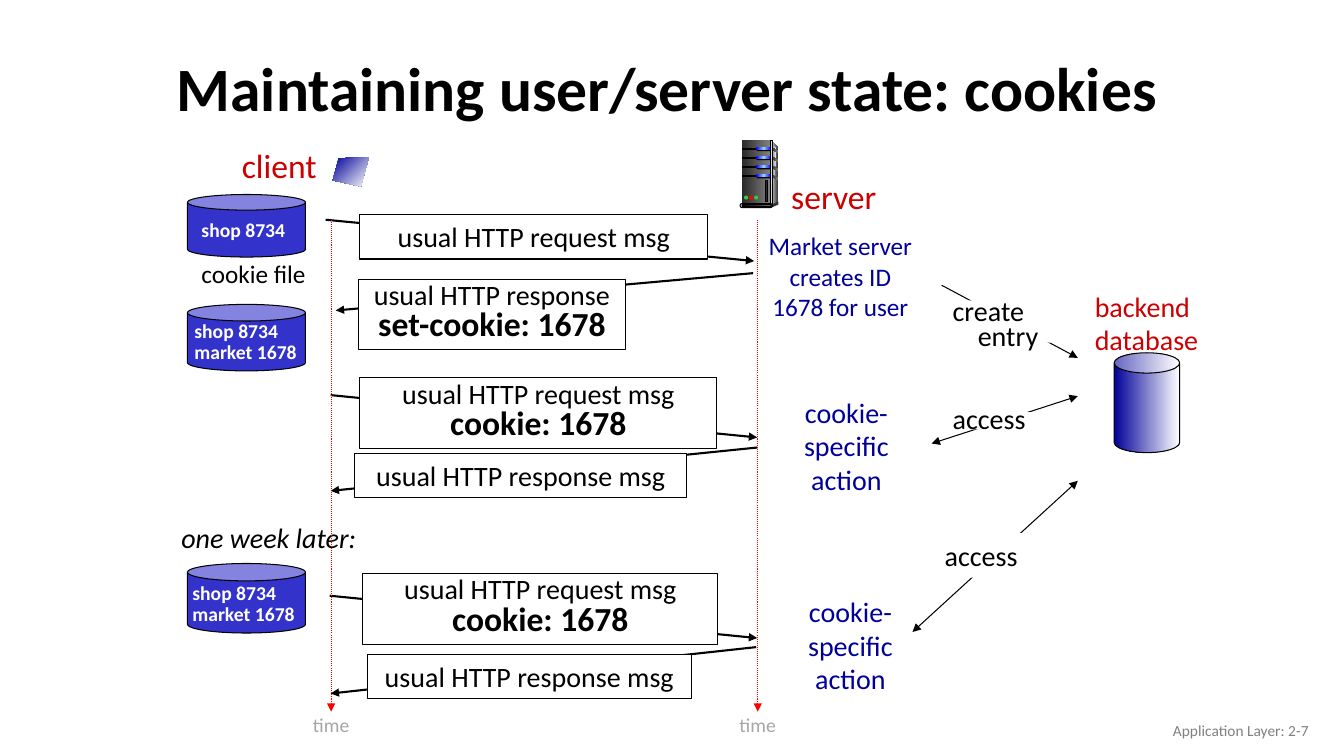
from copy import deepcopy

from lxml import etree
from pptx import Presentation
from pptx.dml.color import RGBColor
from pptx.enum.dml import MSO_LINE
from pptx.enum.shapes import MSO_CONNECTOR, MSO_SHAPE
from pptx.enum.text import MSO_ANCHOR, MSO_AUTO_SIZE, PP_ALIGN
from pptx.oxml.ns import qn
from pptx.util import Inches, Pt

LEFT, CENTER, RIGHT = PP_ALIGN.LEFT, PP_ALIGN.CENTER, PP_ALIGN.RIGHT
TOP, MIDDLE = MSO_ANCHOR.TOP, MSO_ANCHOR.MIDDLE
RECT, ROUND, OVAL, CAN = MSO_SHAPE.RECTANGLE, MSO_SHAPE.ROUNDED_RECTANGLE, MSO_SHAPE.OVAL, MSO_SHAPE.CAN
FONT = "Calibri"
COLORS = {
    "black": "000000", "white": "FFFFFF", "red": "CC0000", "navy": "000099", "jar": "3333CC",
    "footer": "808080", "time": "A6A6A6", "axis": "FF0000", "coal": "292929", "dark": "333333",
    "gray": "808080", "silver": "DDDDDD", "pale": "F8F8F8", "blue": "0000FF", "sky": "99CCFF",
    "green": "33CC33",
}


def color(name):
    """Return the named colour."""
    return RGBColor.from_string(COLORS[name])


def write(frame, lines, size, ink, align=LEFT, spacing=1.0, bold=False, italic=False, anchor=TOP):
    """Write lines, each a string or a (string, size, bold) tuple."""
    frame.auto_size = MSO_AUTO_SIZE.NONE
    frame.word_wrap = align != CENTER
    frame.vertical_anchor = anchor
    for index, line in enumerate(lines):
        text, points, strong = line if isinstance(line, tuple) else (line, size, bold)
        paragraph = frame.paragraphs[0] if index == 0 else frame.add_paragraph()
        paragraph.alignment = align
        paragraph.line_spacing = spacing
        run = paragraph.add_run()
        run.text = text
        run.font.name, run.font.size = FONT, Pt(points)
        run.font.bold, run.font.italic = strong, italic
        run.font.color.rgb = color(ink)


def add_text(slide, box, lines, size, ink, **style):
    """Add a text box and return its frame."""
    frame = slide.shapes.add_textbox(*map(Inches, box)).text_frame
    write(frame, lines, size, ink, **style)
    return frame


def paint(shape, fill, outline=False, angle=0):
    """Fill with one colour or a gradient of several, with an optional black outline."""
    shape.shadow.inherit = False
    if isinstance(fill, str):
        shape.fill.solid()
        shape.fill.fore_color.rgb = color(fill)
    else:
        shape.fill.gradient()
        shape.fill.gradient_angle = -angle % 360
        stop_list = shape._element.spPr.find(qn("a:gradFill")).find(qn("a:gsLst"))
        for _ in fill[2:]:
            stop_list.append(deepcopy(stop_list[0]))
        for index, (stop, name) in enumerate(zip(shape.fill.gradient_stops, fill)):
            stop.color.rgb = color(name)
            stop.position = index / (len(fill) - 1)
    if outline:
        shape.line.color.rgb = color("black")
        shape.line.width = Pt(0.75)
    else:
        shape.line.fill.background()


def add_block(slide, kind, box, fill, outline=False, adjust=None):
    """Add a painted preset shape."""
    shape = slide.shapes.add_shape(kind, *map(Inches, box))
    if adjust is not None:
        shape.adjustments[0] = adjust
    paint(shape, fill, outline)
    return shape


def add_outline(slide, points, fill, angle=0):
    """Add a painted polygon."""
    corners = [(Inches(x), Inches(y)) for x, y in points]
    builder = slide.shapes.build_freeform(*corners[0], scale=1.0)
    builder.add_line_segments(corners[1:], close=True)
    paint(builder.convert_to_shape(), fill, angle=angle)


def add_arrow(slide, start, end, width=0.75, ink="black", both=False, dash=None):
    """Add an arrow with a head at its end, or at both ends."""
    arrow = slide.shapes.add_connector(MSO_CONNECTOR.STRAIGHT, *map(Inches, (*start, *end)))
    arrow.line.color.rgb = color(ink)
    arrow.line.width = Pt(width)
    if dash:
        arrow.line.dash_style = dash
    line = arrow.line._get_or_add_ln()
    for tag in ("a:headEnd", "a:tailEnd") if both else ("a:tailEnd",):
        etree.SubElement(line, qn(tag)).set("type", "triangle")
    etree.SubElement(arrow._element.spPr, qn("a:effectLst"))


def add_message(slide, box, start, end, lines):
    """Add a message arrow with its boxed label."""
    add_arrow(slide, start, end, 1.5)
    label = add_block(slide, RECT, box, "white", True)
    write(label.text_frame, lines, 20, "black", align=CENTER, spacing=0.8 if len(lines) > 1 else 1.0)


def add_link(slide, box, start, end, mask, lines, both=True):
    """Add a database arrow with a label over a blank patch."""
    add_arrow(slide, start, end, both=both)
    add_block(slide, RECT, mask, "white")
    frame = add_text(slide, box, lines, 20, "black", spacing=0.75 if len(lines) > 1 else 1.0)
    for paragraph in frame.paragraphs[1:]:
        paragraph._p.get_or_add_pPr().set("marL", str(Inches(0.25)))


def add_cookie_jar(slide, box, lines, label_left, label_drop):
    """Add a cookie file drum with its entries."""
    left, top, width, height = box
    add_block(slide, CAN, box, "jar", True, 0.25)
    label = (left + label_left, top + label_drop, width + 0.4, 0.53)
    add_text(slide, label, lines, 14, "white", bold=True, spacing=0.9 if len(lines) > 1 else 1.0)


def add_timeline(slide, box):
    """Add a dotted time axis with its caption."""
    left, top, width, height = box
    middle = left + width / 2
    add_arrow(slide, (middle, top), (middle, top + height), ink="axis", dash=MSO_LINE.ROUND_DOT)
    add_text(slide, (left, top + height, width, 0.3), ["time"], 14, "time", align=CENTER, spacing=0.85)


def add_server_tower(slide, box):
    """Add the server tower."""
    left, top, width, height = box
    right, seam, floor = left + width, left + 0.31, top + 0.64

    def part(kind, x, y, w, h, fill, outline=False):
        """Add a part at an offset in the tower."""
        add_block(slide, kind, (left + x, top + y, w, h), fill, outline, 0.5 if kind == ROUND else None)

    add_outline(slide, [(seam, top), (right, top + 0.08), (right, floor - 0.03), (seam - 0.01, floor)],
                ("silver", "dark"))
    part(RECT, 0.02, 0, 0.28, 0.64, ("coal", "gray"))
    add_outline(slide, [(seam + 0.01, top + 0.04), (right - 0.02, top + 0.09),
                        (seam + 0.03, top + 0.35), (seam + 0.01, floor - 0.02)], ("gray", "pale"))
    for bay in range(4):
        drop = 0.07 + 0.09 * bay
        vent = top + drop
        part(RECT, 0.02, drop + 0.01, 0.16, 0.01, "black", True)
        part(ROUND, 0.16, drop, 0.16, 0.04, "black")
        part(ROUND, 0.16, drop, 0.15, 0.03, ("blue", "sky", "blue"))
        add_outline(slide, [(seam, vent), (right, vent + 0.04), (right, vent + 0.06), (seam, vent + 0.02)],
                    ("coal", "gray"))
    part(RECT, 0.3, 0, 0.02, 0.64, ("dark", "silver", "dark"), True)
    add_outline(slide, [(seam, floor), (seam, floor + 0.03), (right, floor), (right, floor - 0.03)], "dark")
    part(ROUND, 0, 0.63, 0.32, 0.04, "silver", True)
    part(ROUND, 0.02, 0.64, 0.29, 0.02, ("black", "gray"), True)
    for index, lamp in enumerate(("green", "axis", "green")):
        part(OVAL, 0.04 + 0.05 * index, 0.55, 0.04, 0.04, lamp)
    part(RECT, 0.25, 0.4, 0.02, 0.21, "coal", True)


def add_client_screen(slide, box):
    """Add the tilted client screen."""
    left, top, width, height = box
    add_outline(slide, [(left + width, top), (left + 0.06, top + 0.01), (left, top + 0.23),
                        (left + 0.28, top + height)], ("navy", "white"), 45)


def add_database(slide, box):
    """Add the backend database drum and its heading."""
    left, top, width, height = box
    add_text(slide, (left - 0.29, top - 0.68, 1.3, 0.77), ["backend", "database"], 20, "red")
    add_block(slide, CAN, box, ("navy", "white"), True, 0.31)


def main():
    """Build the cookie exchange slide."""
    presentation = Presentation()
    presentation.slide_width, presentation.slide_height = Inches(13.33), Inches(7.5)
    slide = presentation.slides.add_slide(presentation.slide_layouts[5])
    title = slide.shapes.title
    title.left, title.top, title.width, title.height = map(Inches, (0.87, 0.42, 11.5, 0.98))
    write(title.text_frame, ["Maintaining user/server state: cookies"], 44, "black",
          align=CENTER, spacing=0.9, bold=True, anchor=MIDDLE)
    add_text(slide, (10.08, 7.05, 3, 0.4), ["Application Layer: 2-7"], 11, "footer", align=RIGHT, anchor=MIDDLE)
    add_text(slide, (2.29, 1.39, 0.96, 0.5), ["client"], 24, "red", align=CENTER)
    add_text(slide, (7.74, 1.7, 1.06, 0.5), ["server"], 24, "red", align=CENTER)
    add_text(slide, (1.9, 2.51, 1.95, 0.4), ["cookie file"], 18, "black")
    add_text(slide, (1.7, 5.11, 1.98, 0.44), ["one week later:"], 20, "black", italic=True)

    request, response = "usual HTTP request msg", "usual HTTP response msg"
    cookie = ("cookie: 1678", 24, True)
    for message in (
        ((3.52, 4.5, 3.29, 0.44), (7.51, 4.44), (3.28, 4.87), [response]),
        ((3.64, 6.49, 3.22, 0.44), (7.5, 6.42), (3.28, 6.88), [response]),
        ((3.57, 3.75, 3.54, 0.7), (3.28, 3.92), (7.51, 4.34), [request, cookie]),
        ((3.57, 2.13, 3.45, 0.44), (3.23, 2.18), (7.48, 2.59), [request]),
        ((3.56, 2.77, 2.64, 0.7), (7.47, 2.71), (3.33, 3.08),
         ["usual HTTP response", ("set-cookie: 1678", 24, True)]),
        ((3.6, 5.69, 3.52, 0.7), (3.27, 5.91), (7.51, 6.33), [request, cookie]),
    ):
        add_message(slide, *message)

    add_text(slide, (7.47, 2.24, 1.73, 1.01), ["Market server", "creates ID", "1678 for user"], 18, "navy",
             align=CENTER)
    for left, top in ((7.76, 3.87), (7.8, 5.85)):
        add_text(slide, (left, top, 1.27, 1.11), ["cookie-", "specific", "action"], 20, "navy", align=CENTER)
    add_link(slide, (9.35, 2.94, 1.5, 0.62), (9.34, 2.83), (10.69, 3.55), (9.53, 2.98, 1.0, 0.42),
             ["create", "entry"], both=False)
    add_link(slide, (9.35, 3.93, 1.13, 0.44), (9.24, 4.4), (10.69, 3.93), (9.57, 4.09, 0.81, 0.17), ["access"])
    add_link(slide, (9.27, 5.29, 1.12, 0.44), (9.05, 6.27), (10.69, 4.77), (9.27, 5.29, 1.12, 0.44), ["access"])

    shop, market = "shop 8734", "market 1678"
    add_cookie_jar(slide, (1.86, 1.93, 1.17, 0.62), [shop], 0.04, 0.18)
    add_cookie_jar(slide, (1.86, 3.02, 1.17, 0.66), [shop, market], -0.03, 0.12)
    add_cookie_jar(slide, (1.86, 5.59, 1.17, 0.69), [shop, market], -0.05, 0.15)
    add_database(slide, (11.05, 3.5, 0.65, 0.99))
    add_server_tower(slide, (7.34, 1.39, 0.38, 0.67))
    add_client_screen(slide, (3.3, 1.56, 0.36, 0.29))
    for left in (3, 7.23):
        add_timeline(slide, (left, 2.18, 0.57, 4.88))
    presentation.save("out.pptx")


if __name__ == "__main__":
    main()
